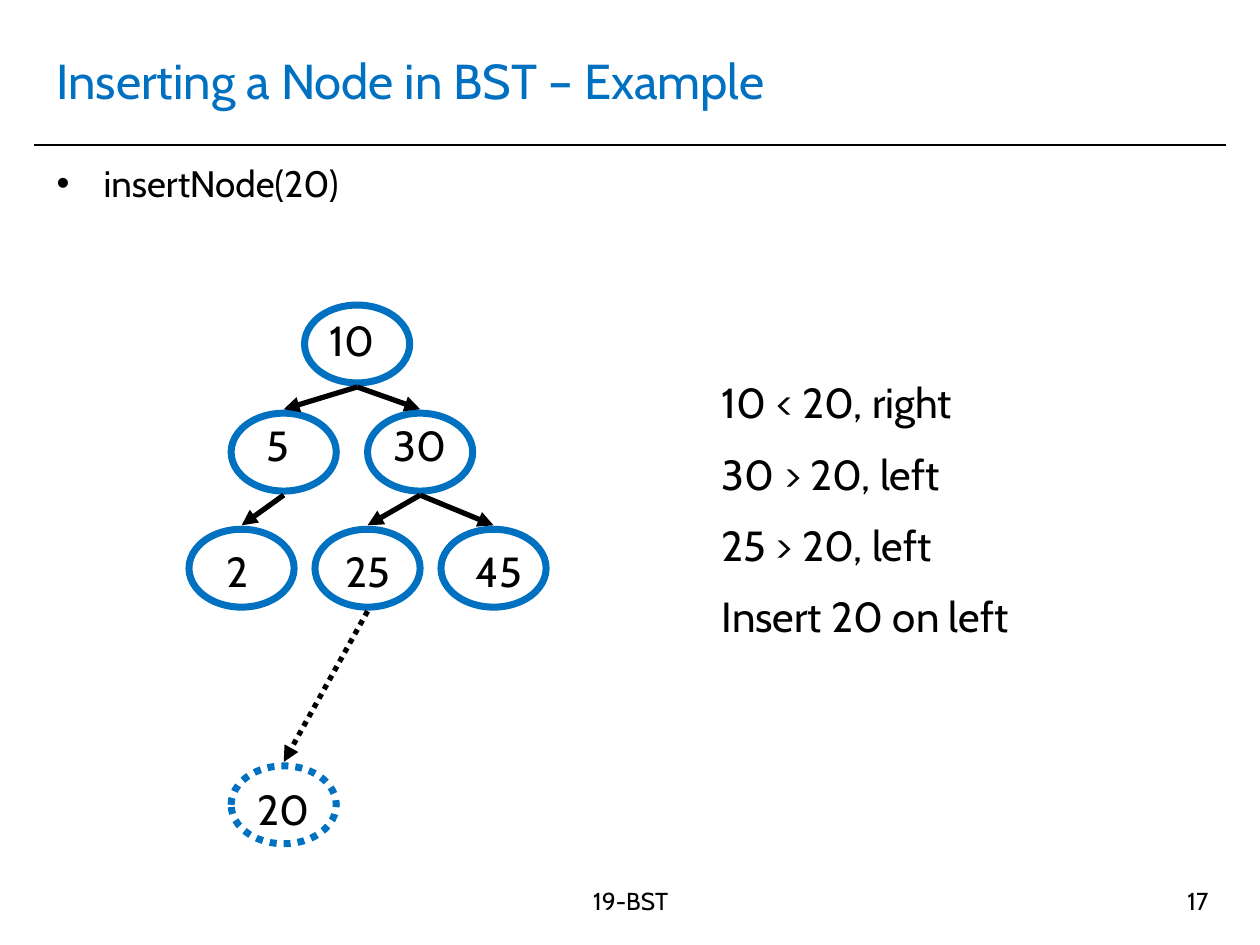
from dataclasses import dataclass

from lxml import etree
from pptx import Presentation
from pptx import util as u
from pptx.dml.color import RGBColor
from pptx.enum import dml, shapes, text
from pptx.oxml.ns import qn


@dataclass(frozen=True)
class Theme:
    font: str = "Cabin"
    blue: RGBColor = RGBColor(0x00, 0x70, 0xC0)
    black: RGBColor = RGBColor(0, 0, 0)
    title: int = 28
    body: int = 21
    label: int = 24
    footer: int = 14


class Deck:
    """Holds the theme and the current slide, and draws each kind of element."""

    node_w, node_h, gap = 2.12, 1.57, 0.08

    def __init__(self, prs, theme):
        self.theme = theme
        self.s = prs.slides.add_slide(prs.slide_layouts[6])

    def text(self, box, lines, size, color=None, align=text.PP_ALIGN.LEFT,
             anchor=text.MSO_ANCHOR.TOP, before=0, wrap=True, bullet=False):
        sp = self.s.shapes.add_textbox(*map(u.Cm, box))
        tf = sp.text_frame
        tf.word_wrap = wrap
        tf.vertical_anchor = anchor
        for i, line in enumerate(lines):
            p = tf.add_paragraph() if i else tf.paragraphs[0]
            p.alignment = align
            p.space_before = u.Pt(before)
            if bullet:
                self.bullet(p)
            r = p.add_run()
            r.text = line
            r.font.name = self.theme.font
            r.font.size = u.Pt(size)
            r.font.color.rgb = color or self.theme.black

    def bullet(self, p):
        pPr = p._p.get_or_add_pPr()
        indent = u.Cm(0.95)
        pPr.set("marL", str(indent))
        pPr.set("indent", str(-indent))
        etree.SubElement(pPr, qn("a:buFont")).set("typeface", "Arial")
        etree.SubElement(pPr, qn("a:buChar")).set("char", "•")

    def line(self, start, end, width, arrow=False, dotted=False):
        c = self.s.shapes.add_connector(
            shapes.MSO_CONNECTOR.STRAIGHT, *map(u.Cm, (*start, *end)))
        self.stroke(c.line, self.theme.black, width, dotted)
        if arrow:
            ln = c.line._get_or_add_ln()
            etree.SubElement(ln, qn("a:tailEnd")).set("type", "triangle")
        etree.SubElement(c._element.spPr, qn("a:effectLst"))

    def stroke(self, line, color, width, dotted):
        line.color.rgb = color
        line.width = u.Pt(width)
        if dotted:
            line.dash_style = dml.MSO_LINE.ROUND_DOT

    def node(self, center, top, dotted=False):
        sp = self.s.shapes.add_shape(
            shapes.MSO_SHAPE.OVAL, u.Cm(center - self.node_w / 2), u.Cm(top),
            u.Cm(self.node_w), u.Cm(self.node_h))
        sp.shadow.inherit = False
        sp.fill.background()
        self.stroke(sp.line, self.theme.blue, 4, dotted)

    def label(self, value, center, top, width):
        self.text((center - width / 2, top, width, 1.27), [value],
                  self.theme.label, align=text.PP_ALIGN.CENTER, wrap=False)

    def edge(self, parent, child, dotted=False):
        (px, py), (cx, cy) = parent, child
        self.line((px, py + self.node_h + self.gap), (cx, cy - self.gap),
                  3, arrow=True, dotted=dotted)


prs = Presentation()
prs.slide_width, prs.slide_height = u.Cm(25.4), u.Cm(19.05)
theme = Theme()
deck = Deck(prs, theme)

deck.line((0.69, 2.92), (24.71, 2.92), 1)
deck.text((0.89, 0.53, 23.6, 2.16), ["Inserting a Node in BST – Example "],
          theme.title, theme.blue, anchor=text.MSO_ANCHOR.MIDDLE)
deck.text((0.89, 3.12, 23.6, 1.47), ["insertNode(20)"], theme.body,
          before=4.2, bullet=True)
deck.text((8.51, 17.73, 8.41, 1.32), ["19-BST"], theme.footer,
          align=text.PP_ALIGN.CENTER)
deck.text((18.69, 17.73, 5.92, 1.32), ["17"], theme.footer,
          align=text.PP_ALIGN.RIGHT)

nodes = {"10": (7.2, 6.15), "5": (5.72, 8.33), "30": (8.47, 8.33),
         "2": (4.87, 10.67), "25": (7.41, 10.67), "45": (9.95, 10.67),
         "20": (5.72, 15.44)}
edges = [("10", "5"), ("10", "30"), ("5", "2"), ("30", "25"),
         ("30", "45"), ("25", "20")]
labels = [("10", 7.09, 6.22, 1.48), ("5", 5.61, 8.33, 1.06),
          ("30", 8.47, 8.33, 1.7), ("2", 4.78, 10.87, 1.06),
          ("25", 7.41, 10.87, 1.7), ("45", 10.06, 10.87, 1.48),
          ("20", 5.72, 15.67, 1.7)]
inserted = "20"

for value, (center, top) in nodes.items():
    deck.node(center, top, dotted=value == inserted)
for parent, child in edges:
    deck.edge(nodes[parent], nodes[child], dotted=child == inserted)
for label in labels:
    deck.label(*label)

deck.text((14.3, 7.47, 9.53, 5.89),
          ["10 < 20, right", "30 > 20, left", "25 > 20, left",
           "Insert 20 on left"], theme.label, before=12)

prs.save("out.pptx")
